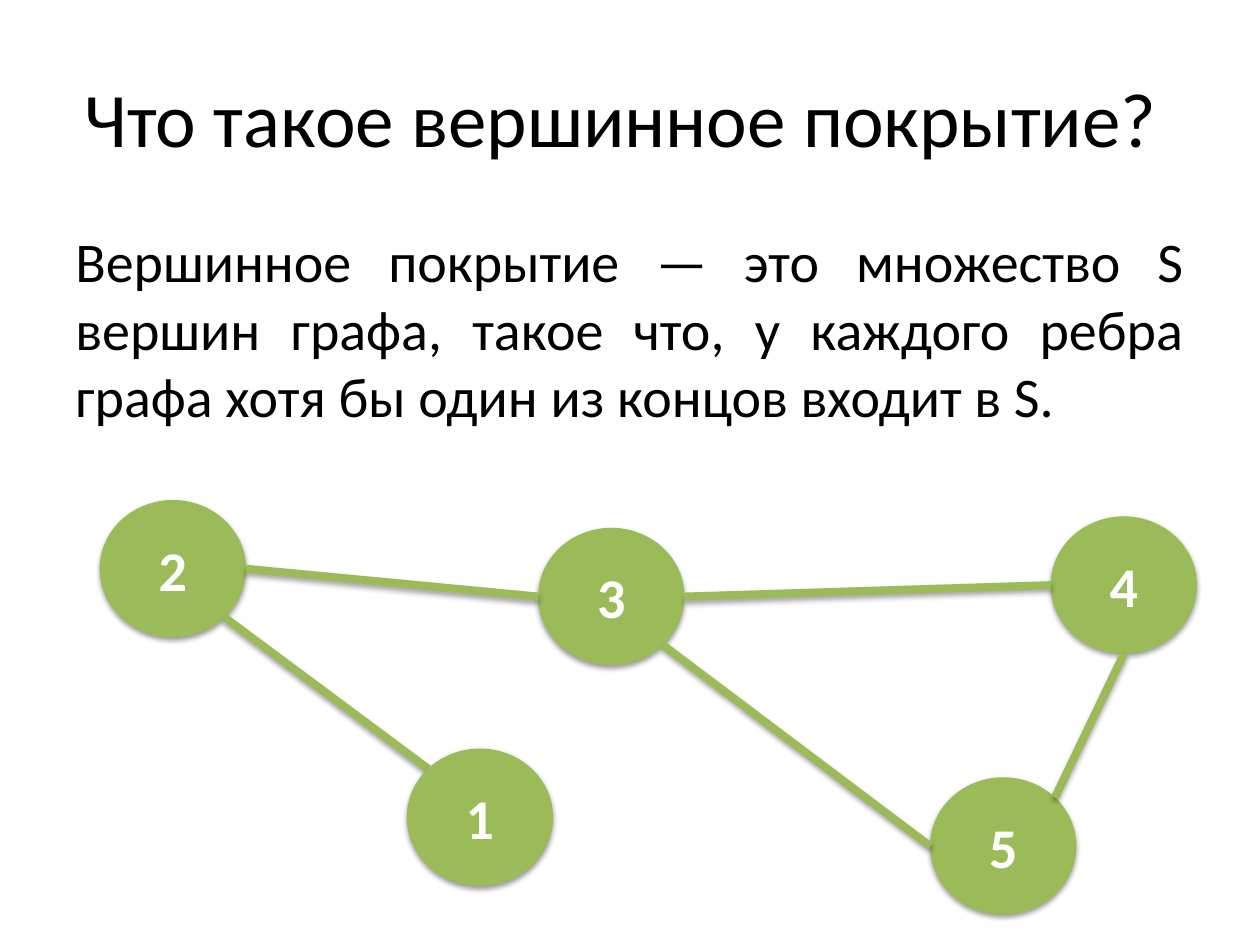
import math

from lxml import etree
from pptx import Presentation
from pptx import util as u
from pptx.dml.color import RGBColor
from pptx.enum import shapes, text
from pptx.oxml.ns import qn

COLORS = {"ink": "000000", "graph": "9BBB59", "label": "FFFFFF"}
FONT = "Calibri"
NODE_WIDTH, NODE_HEIGHT = 2.95, 2.77

# Left and top of each vertex, in cm
VERTICES = {
    "3": (10.85, 10.64),
    "4": (21.18, 10.41),
    "2": (2.01, 10.08),
    "5": (18.75, 15.67),
    "1": (8.2, 15.09),
}
# Vertex and angle on its rim, clockwise from the right, for both ends
EDGES = [
    ("4", 90, "5", -45),
    ("4", 180, "3", 0),
    ("5", 180, "3", 45),
    ("3", 180, "2", 0),
    ("1", -135, "2", 45),
]


def rgb(name):
    return RGBColor.from_string(COLORS[name])


def add_run(paragraph, words, size, color, bold=False):
    run = paragraph.add_run()
    run.text = words
    run.font.name = FONT
    run.font.size = u.Pt(size)
    run.font.bold = bold
    run.font.color.rgb = rgb(color)


def add_shadow(shape, distance, opacity):
    """Give the shape a soft black shadow straight below it."""
    properties = shape._element.spPr
    for old in properties.findall(qn("a:effectLst")):
        properties.remove(old)
    effects = etree.SubElement(properties, qn("a:effectLst"))
    shadow = etree.SubElement(
        effects, qn("a:outerShdw"), blurRad=str(u.Pt(3.1)),
        dist=str(u.Pt(distance)), dir="5400000", rotWithShape="0")
    black = etree.SubElement(shadow, qn("a:srgbClr"), val=COLORS["ink"])
    etree.SubElement(black, qn("a:alpha"), val=str(opacity * 1000))


def add_text(slide, words, top, height, size, align, anchor, space_before=0):
    frame = slide.shapes.add_textbox(
        u.Cm(1.27), u.Cm(top), u.Cm(22.86), u.Cm(height)).text_frame
    frame.word_wrap = True
    frame.vertical_anchor = anchor
    paragraph = frame.paragraphs[0]
    paragraph.alignment = align
    paragraph.space_before = u.Pt(space_before)
    add_run(paragraph, words, size, "ink")


def add_vertex(slide, number):
    left, top = VERTICES[number]
    vertex = slide.shapes.add_shape(
        shapes.MSO_SHAPE.OVAL, u.Cm(left), u.Cm(top),
        u.Cm(NODE_WIDTH), u.Cm(NODE_HEIGHT))
    vertex.fill.solid()
    vertex.fill.fore_color.rgb = rgb("graph")
    vertex.line.fill.background()
    add_shadow(vertex, distance=1.6, opacity=38)
    vertex.text_frame.vertical_anchor = text.MSO_ANCHOR.MIDDLE
    paragraph = vertex.text_frame.paragraphs[0]
    paragraph.alignment = text.PP_ALIGN.CENTER
    add_run(paragraph, number, 32, "label", bold=True)


def rim_point(number, angle):
    left, top = VERTICES[number]
    turn = math.radians(angle)
    return (u.Cm(left + NODE_WIDTH / 2 * (1 + math.cos(turn))),
            u.Cm(top + NODE_HEIGHT / 2 * (1 + math.sin(turn))))


def add_edge(slide, start, start_angle, end, end_angle):
    edge = slide.shapes.add_connector(
        shapes.MSO_CONNECTOR.STRAIGHT,
        *rim_point(start, start_angle), *rim_point(end, end_angle))
    edge.line.color.rgb = rgb("graph")
    edge.line.width = u.Pt(4.5)
    add_shadow(edge, distance=1.8, opacity=35)


def main():
    deck = Presentation()
    deck.slide_width, deck.slide_height = u.Cm(25.4), u.Cm(19.05)
    slide = deck.slides.add_slide(deck.slide_layouts[6])

    add_text(slide, "Что такое вершинное покрытие? ", 0.76, 3.18, 44,
             text.PP_ALIGN.CENTER, text.MSO_ANCHOR.MIDDLE)
    add_text(slide, "Вершинное покрытие — это множество S вершин графа, "
             "такое что, у каждого ребра графа хотя бы один из концов "
             "входит в S.", 4.45, 5.05, 32,
             text.PP_ALIGN.JUSTIFY, text.MSO_ANCHOR.TOP, space_before=6.4)

    *behind_edges, in_front = VERTICES
    for number in behind_edges:
        add_vertex(slide, number)
    for edge in EDGES:
        add_edge(slide, *edge)
    add_vertex(slide, in_front)

    deck.save("out.pptx")


if __name__ == "__main__":
    main()
